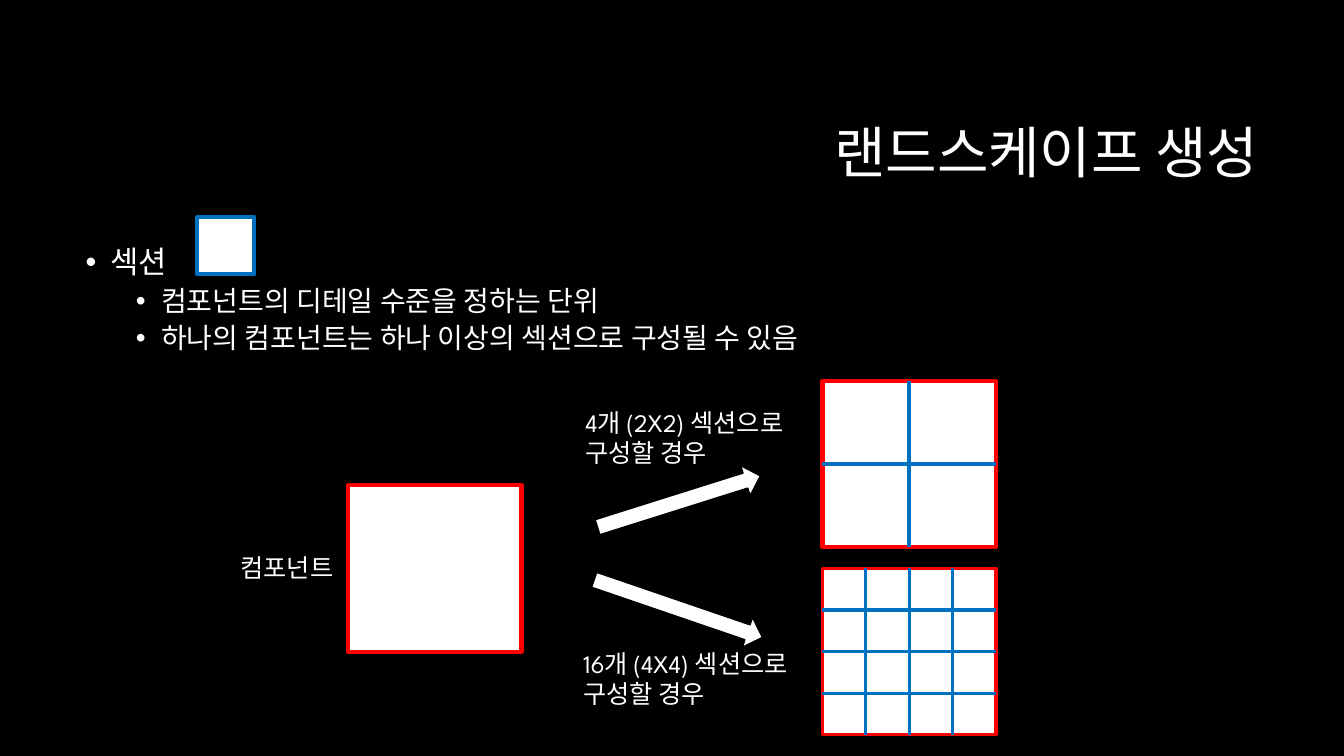
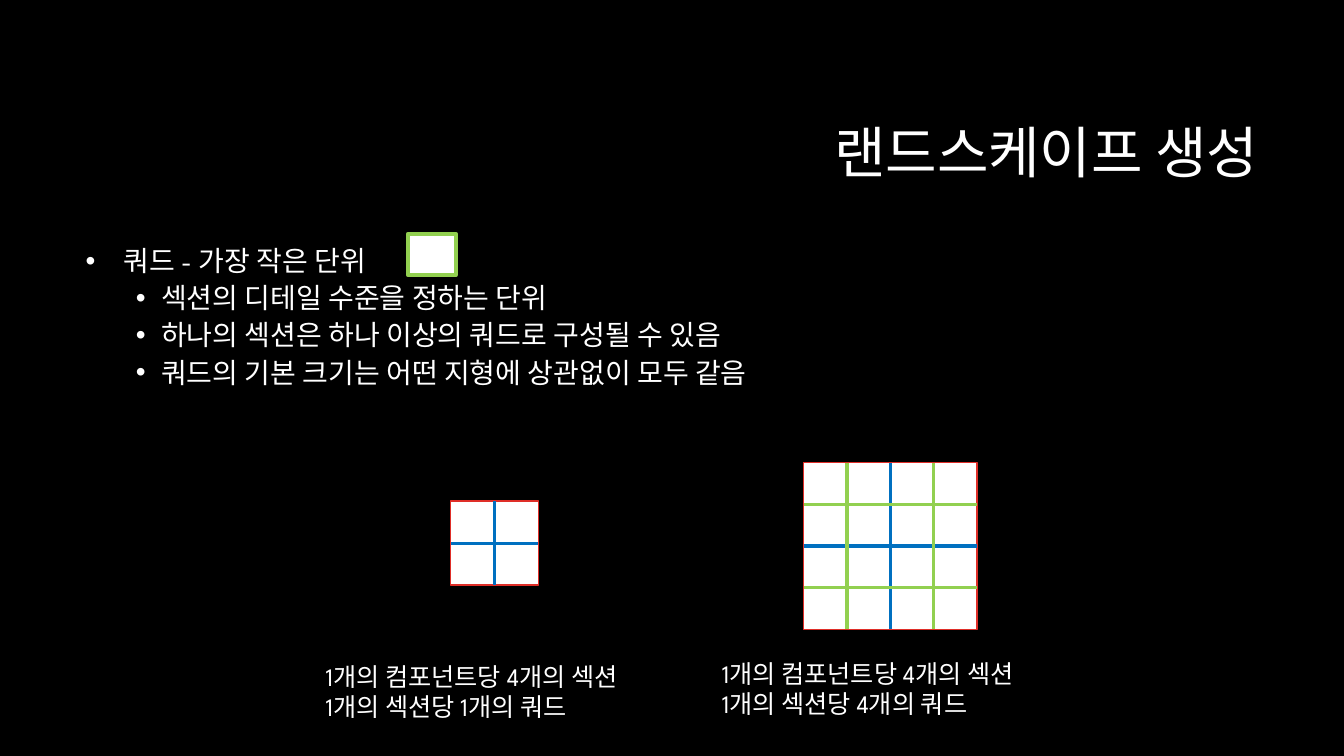
"""Build two slides that explain landscape sections and quads."""
from dataclasses import dataclass
from pptx import Presentation
from pptx.dml.color import RGBColor
from pptx.enum.shapes import MSO_CONNECTOR as Connector, MSO_SHAPE as Preset
from pptx.enum.text import MSO_ANCHOR as Anchor, MSO_AUTO_SIZE as AutoSize, PP_ALIGN as Align
from pptx.oxml.ns import qn
from pptx.util import Pt
from lxml.etree import SubElement


@dataclass(frozen=True)
class Theme:
    font: str = "League Spartan"
    black: str = "000000"
    white: str = "FFFFFF"
    red: str = "FF0000"
    crimson: str = "DF2E28"
    blue: str = "0070C0"
    green: str = "92D050"
    title: int = 40
    topic: int = 22
    detail: int = 20
    caption: int = 18


THEME = Theme()
SLIDE_SIZE = (960, 540)
TITLE = "랜드스케이프 생성"
TITLE_BOX = (228, 60.5, 678, 101.5)
BODY_BOX = (54, 173, 852, 317)
COMPONENT = (124, 119)

TOPIC = dict(size=THEME.topic, left=18, hang=18, before=10)
WIDE_TOPIC = dict(size=THEME.detail, left=27, hang=27, before=5)
DETAIL = dict(size=THEME.detail, left=54, hang=18, before=5)

SLIDES = [
    dict(
        bullets=[
            ("섹션", TOPIC),
            ("컴포넌트의 디테일 수준을 정하는 단위", DETAIL),
            ("하나의 컴포넌트는 하나 이상의 섹션으로 구성될 수 있음", DETAIL),
        ],
        squares=[
            ((248.5, 346.5, *COMPONENT), THEME.red, 3),
            ((141, 155, 40.5, 41), THEME.blue, 3),
        ],
        grids=[
            dict(box=(587.5, 272, *COMPONENT), cells=2, border=(THEME.red, 3),
                 middle=(THEME.blue, 3)),
            dict(box=(587.5, 406, *COMPONENT), cells=4, border=(THEME.red, 2.25),
                 middle=(THEME.blue, 2.25), between=(THEME.blue, 2.25)),
        ],
        arrows=[
            ((424, 347, 122, 22.5), -17.5),
            ((421, 423.5, 127, 22.5), 18.9),
        ],
        captions=[
            ((411, 287.5, 172, 51), ["4개 (2X2) 섹션으로 구성할 경우"], True),
            ((409.5, 459.5, 183.5, 51), ["16개 (4X4) 섹션으로 구성할 경우"], True),
            ((161.5, 391, 87, 29), ["컴포넌트"], False),
        ],
    ),
    dict(
        bullets=[
            ("쿼드 - 가장 작은 단위", WIDE_TOPIC),
            ("섹션의 디테일 수준을 정하는 단위", DETAIL),
            ("하나의 섹션은 하나 이상의 쿼드로 구성될 수 있음", DETAIL),
            ("쿼드의 기본 크기는 어떤 지형에 상관없이 모두 같음", DETAIL),
        ],
        squares=[((291.5, 167, 34, 29.5), THEME.green, 3)],
        grids=[
            dict(box=(322, 358, 62.5, 60), cells=2, border=(THEME.crimson, 1),
                 middle=(THEME.blue, 2.25)),
            dict(box=(574, 330.5, *COMPONENT), cells=4, border=(THEME.crimson, 1),
                 middle=(THEME.blue, 2.25), between=(THEME.green, 2.25)),
        ],
        arrows=[],
        captions=[
            ((225.5, 468.5, 255, 51),
             ["1개의 컴포넌트당 4개의 섹션", "1개의 섹션당 1개의 쿼드"], True),
            ((508.5, 466.5, 255, 51),
             ["1개의 컴포넌트당 4개의 섹션", "1개의 섹션당 4개의 쿼드"], True),
        ],
    ),
]


def color(value):
    return RGBColor.from_string(value)


def points(values):
    return [Pt(value) for value in values]


def apply(target, **values):
    for name, value in values.items():
        setattr(target, name, value)


def outline(shape, line_color, width):
    shape.line.color.rgb = color(line_color)
    shape.line.width = Pt(width)


def add_text(page, box, lines, size, frame_format=None, **para_format):
    frame = page.shapes.add_textbox(*points(box)).text_frame
    apply(frame, **{"word_wrap": True, **(frame_format or {})})
    for index, line in enumerate(lines):
        para = frame.paragraphs[0] if index == 0 else frame.add_paragraph()
        apply(para, **para_format)
        span = para.add_run()
        span.text = line
        apply(span.font, name=THEME.font, size=Pt(size))
        span.font.color.rgb = color(THEME.white)
    return frame


def add_bullets(page, bullets):
    frame = add_text(page, BODY_BOX, [text for text, style in bullets],
                     THEME.detail, line_spacing=0.9)
    for para, (text, style) in zip(frame.paragraphs, bullets):
        para.space_before = Pt(style["before"])
        para.runs[0].font.size = Pt(style["size"])
        properties = para._p.get_or_add_pPr()
        properties.set("marL", str(Pt(style["left"])))
        properties.set("indent", str(-Pt(style["hang"])))
        SubElement(properties, qn("a:buFont"), typeface="Arial")
        SubElement(properties, qn("a:buChar"), char="•")


def add_block(page, preset, box, line_color, width):
    block = page.shapes.add_shape(preset, *points(box))
    block.shadow.inherit = False
    block.fill.solid()
    block.fill.fore_color.rgb = color(THEME.white)
    outline(block, line_color, width)
    return block


def add_line(page, ends, line_color, width):
    line = page.shapes.add_connector(Connector.STRAIGHT, *points(ends))
    outline(line, line_color, width)
    SubElement(line._element.spPr, qn("a:effectLst"))
    return line


def add_grid(page, box, cells, border, middle, between=None):
    left, top, width, height = box
    square = add_block(page, Preset.RECTANGLE, box, *border)
    center = cells // 2
    for step in sorted(range(1, cells), key=lambda step: step != center):
        style = middle if step == center else between
        across = top + height * step / cells
        down = left + width * step / cells
        row = add_line(page, (left, across, left + width, across), *style)
        column = add_line(page, (down, top, down, top + height), *style)
        if step == center:
            for line, start, end in ((row, 1, 3), (column, 0, 2)):
                line.begin_connect(square, start)
                line.end_connect(square, end)


def add_page(deck, content):
    page = deck.slides.add_slide(deck.slide_layouts[6])
    add_text(page, TITLE_BOX, [TITLE], THEME.title,
             dict(vertical_anchor=Anchor.MIDDLE), alignment=Align.RIGHT, line_spacing=0.9)
    add_bullets(page, content["bullets"])
    for box, line_color, width in content["squares"]:
        add_block(page, Preset.RECTANGLE, box, line_color, width)
    for grid in content["grids"]:
        add_grid(page, **grid)
    for box, angle in content["arrows"]:
        add_block(page, Preset.RIGHT_ARROW, box, THEME.black, 1).rotation = angle
    for box, lines, wrap in content["captions"]:
        add_text(page, box, lines, THEME.caption,
                 dict(word_wrap=wrap, auto_size=AutoSize.SHAPE_TO_FIT_TEXT),
                 alignment=Align.LEFT if wrap else Align.CENTER)


def main():
    deck = Presentation()
    deck.slide_width, deck.slide_height = points(SLIDE_SIZE)
    backdrop = deck.slide_master.background.fill
    backdrop.solid()
    backdrop.fore_color.rgb = color(THEME.black)
    for content in SLIDES:
        add_page(deck, content)
    deck.save("out.pptx")


if __name__ == "__main__":
    main()
